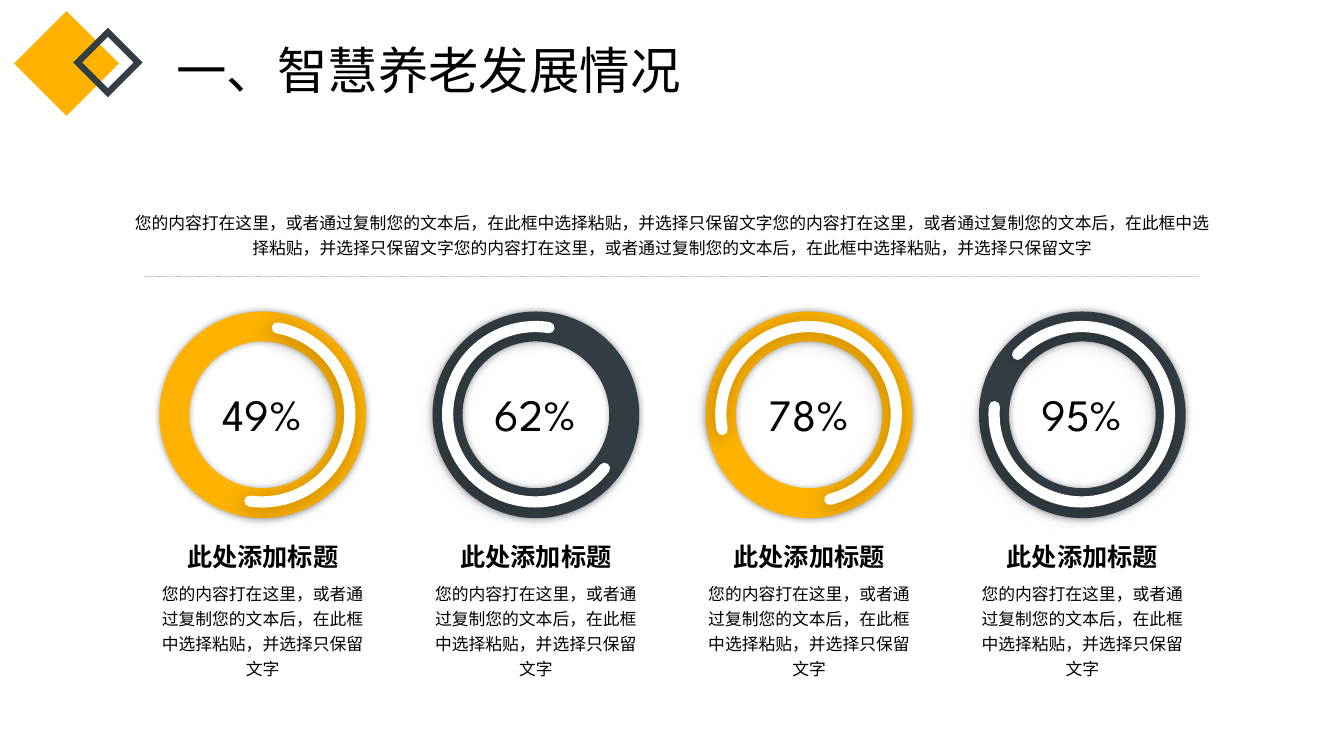
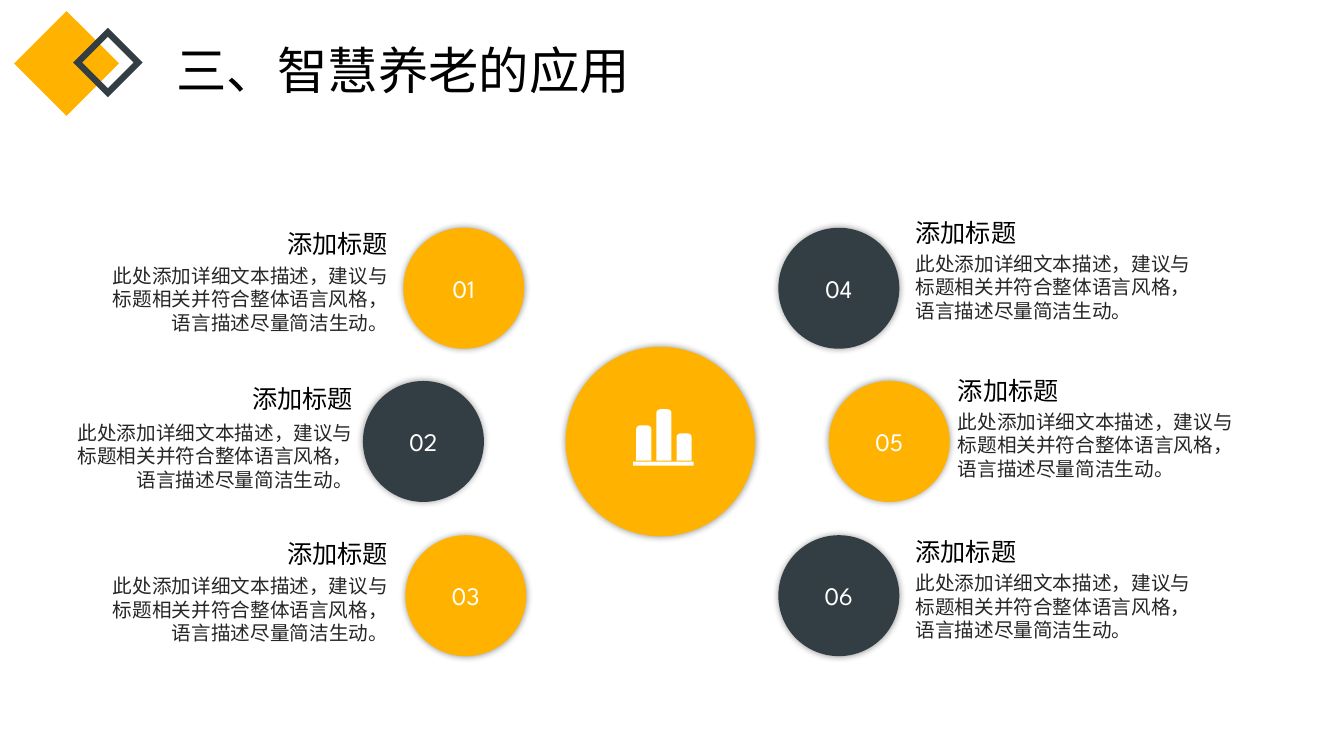
from pptx import Presentation
from pptx import util as u
from pptx.dml.color import RGBColor
from pptx.enum import dml, shapes, text
from pptx.oxml import ns, xmlchemy

PX = 9144
AMBER = RGBColor(0xFF, 0xB3, 0x00)
SLATE = RGBColor(0x33, 0x3E, 0x44)
WHITE = RGBColor(0xFF, 0xFF, 0xFF)
BLACK = RGBColor(0x00, 0x00, 0x00)
INK = RGBColor(0x26, 0x26, 0x26)
RULE = RGBColor(0xBF, 0xBF, 0xBF)
LATIN_FONT = "League Spartan"
CHINESE_FONT = "Noto Sans CJK SC"
SOFT_SHADOW = dict(alpha=40, blur=5, distance=0, angle=0)
ARC_SHADOW = dict(alpha=33, blur=17, distance=3, angle=135)
KIND = shapes.MSO_SHAPE
ALIGN = text.PP_ALIGN

HINT = "您的内容打在这里，或者通过复制您的文本后，在此框中选择粘贴，并选择只保留文字"
DETAIL = "此处添加详细文本描述，建议与标题相关并符合整体语言风格，语言描述尽量简洁生动。"
GAUGES = [
    ("49%", AMBER, 280, 98),
    ("62%", SLATE, 38, 279),
    ("78%", AMBER, 170, 76),
    ("95%", SLATE, 223, 185),
]
TOPICS = [
    ("01", AMBER, (400, 226), ALIGN.RIGHT, 385, 227, 261),
    ("02", SLATE, (360, 378), ALIGN.RIGHT, 350, 380, 417),
    ("03", AMBER, (402, 531), ALIGN.RIGHT, 385, 534, 569),
    ("04", SLATE, (772, 226), ALIGN.LEFT, 908, 216, 249),
    ("05", AMBER, (822, 378), ALIGN.LEFT, 950, 372, 406),
    ("06", SLATE, (772, 531), ALIGN.LEFT, 908, 532, 566),
]


def px(*lengths):
    """Turn lengths in px into EMU."""
    return [u.Emu(length * PX) for length in lengths]


def add_element(parent, tag, **attributes):
    """Append a drawing element with the given attributes."""
    element = xmlchemy.OxmlElement(tag)
    for name, value in attributes.items():
        element.set(name, str(value))
    parent.append(element)
    return element


def write(frame, content, size=12, font=LATIN_FONT, color=BLACK, bold=False,
          align=ALIGN.LEFT, spacing=None, anchor=text.MSO_ANCHOR.TOP,
          wrap=True, inset=None, fit=True):
    """Fill a text frame with one formatted paragraph."""
    frame.word_wrap = wrap
    frame.auto_size = (text.MSO_AUTO_SIZE.SHAPE_TO_FIT_TEXT if fit
                       else text.MSO_AUTO_SIZE.NONE)
    frame.vertical_anchor = anchor
    if inset is not None:
        frame.margin_left = frame.margin_right = inset
        frame.margin_top = frame.margin_bottom = inset
    para = frame.paragraphs[0]
    para.alignment = align
    para.line_spacing = spacing
    span = para.add_run()
    span.text = content
    span.font.size = u.Pt(size)
    span.font.bold = bold
    span.font.color.rgb = color
    span.font.name = font
    add_element(span.font._element, "a:ea", typeface=CHINESE_FONT)


def add_text(page, box, content, **style):
    """Add a text box with one paragraph."""
    write(page.shapes.add_textbox(*px(*box)).text_frame, content, **style)


def add_figure(page, kind, box, fill=None, line=None, weight=0,
               adjust=(), shadow=None):
    """Add a preset shape with an optional fill, outline and shadow."""
    figure = page.shapes.add_shape(kind, *px(*box))
    for index, value in enumerate(adjust):
        figure.adjustments[index] = value
    if fill is None:
        figure.fill.background()
    else:
        figure.fill.solid()
        figure.fill.fore_color.rgb = fill
    if line is None:
        figure.line.fill.background()
    else:
        figure.line.color.rgb = line
        figure.line.width = u.Pt(weight)
        outline = figure.element.spPr.find(ns.qn("a:ln"))
        outline.set("cap", "rnd")
        add_element(outline, "a:miter", lim=800000)
    figure.shadow.inherit = False
    if shadow:
        effects = figure.element.spPr.find(ns.qn("a:effectLst"))
        outer = add_element(effects, "a:outerShdw",
                            blurRad=u.Pt(shadow["blur"]),
                            dist=u.Pt(shadow["distance"]),
                            dir=shadow["angle"] * 60000,
                            algn="ctr", rotWithShape=0)
        tint = add_element(outer, "a:srgbClr", val=BLACK)
        add_element(tint, "a:alpha", val=shadow["alpha"] * 1000)
    return figure


def add_page(deck, title):
    """Add a title-only page with the diamond emblem."""
    page = deck.slides.add_slide(deck.slide_layouts[5])
    add_figure(page, KIND.DIAMOND, (14, 11, 104, 104), fill=AMBER)
    add_figure(page, KIND.DIAMOND, (77, 32, 60, 60), line=SLATE, weight=4.5)
    heading = page.shapes.title
    heading.left, heading.top, heading.width, heading.height = px(165, 25, 698, 76)
    write(heading.text_frame, title, size=36, font=CHINESE_FONT, spacing=1.14)
    return page


def add_intro(page, left, top, width):
    """Add the centred introduction and the dashed rule under it."""
    add_text(page, (left, top, width, 59), HINT * 3,
             align=ALIGN.CENTER, spacing=1.25)
    rule = page.shapes.add_connector(
        shapes.MSO_CONNECTOR.STRAIGHT,
        *px(left + 22, top + 73, left + width - 23, top + 73))
    rule.line.color.rgb = RULE
    rule.line.width = u.Pt(0.5)
    rule.line.dash_style = dml.MSO_LINE.SQUARE_DOT
    add_element(rule._element.spPr, "a:effectLst")


def add_gauge(page, left, top, share, color, start, end):
    """Add a ring gauge with its share, heading and hint."""
    add_figure(page, KIND.DONUT, (left, top, 205, 205), fill=color,
               adjust=[0.145], shadow=SOFT_SHADOW)
    add_figure(page, KIND.ARC, (left + 15, top + 15, 174, 174), line=WHITE,
               weight=8, adjust=[start * 0.6, end * 0.6], shadow=ARC_SHADOW)
    add_text(page, (left + 50, top + 70, 105, 64), share, size=32,
             align=ALIGN.CENTER, wrap=False)
    add_text(page, (left - 14, top + 223, 233, 40), "此处添加标题", size=18,
             bold=True, align=ALIGN.CENTER)
    add_text(page, (left - 14, top + 260, 233, 109), HINT,
             align=ALIGN.CENTER, spacing=1.25)


def add_hub(page, left, top, size):
    """Add the central disc with its bar icon."""
    add_figure(page, KIND.OVAL, (left, top, size, size), fill=AMBER,
               shadow=SOFT_SHADOW)
    floor = top + 113
    add_figure(page, KIND.RECTANGLE, (left + 67, floor + 1, 60, 4), fill=WHITE)
    for index, height in enumerate((35, 51, 27)):
        add_figure(page, KIND.ROUND_2_SAME_RECTANGLE,
                   (left + 70 + 20 * index, floor - height, 15, height),
                   fill=WHITE, adjust=[0.25, 0])


def add_topic(page, number, color, corner, align, edge, heading_top, detail_top):
    """Add a numbered disc and the text that runs from the given edge."""
    disc = add_figure(page, KIND.OVAL, (*corner, 120, 120), fill=color,
                      shadow=SOFT_SHADOW)
    write(disc.text_frame, number, size=18, color=WHITE, align=ALIGN.CENTER,
          anchor=text.MSO_ANCHOR.MIDDLE, fit=False)
    parts = [
        ("添加标题", heading_top, 101, 30, dict(size=18, wrap=False)),
        (DETAIL, detail_top, 284, 71, dict(size=14, color=INK)),
    ]
    for content, top, width, height, style in parts:
        left = edge - width if align == ALIGN.RIGHT else edge
        add_text(page, (left, top, width, height), content, align=align,
                 inset=0, anchor=text.MSO_ANCHOR.MIDDLE, **style)


def build_progress_page(deck):
    """Build the page with four gauges."""
    page = add_page(deck, "一、智慧养老发展情况")
    add_intro(page, 121, 201, 1092)
    for index, gauge in enumerate(GAUGES):
        add_gauge(page, 158 + 271 * index, 309, *gauge)


def build_application_page(deck):
    """Build the page with six topics around a hub."""
    page = add_page(deck, "三、智慧养老的应用")
    add_hub(page, 561, 344, 188)
    for topic in TOPICS:
        add_topic(page, *topic)


def main():
    """Build and save the deck."""
    deck = Presentation()
    deck.slide_width, deck.slide_height = px(1333, 750)
    build_progress_page(deck)
    build_application_page(deck)
    deck.save("out.pptx")


if __name__ == "__main__":
    main()
